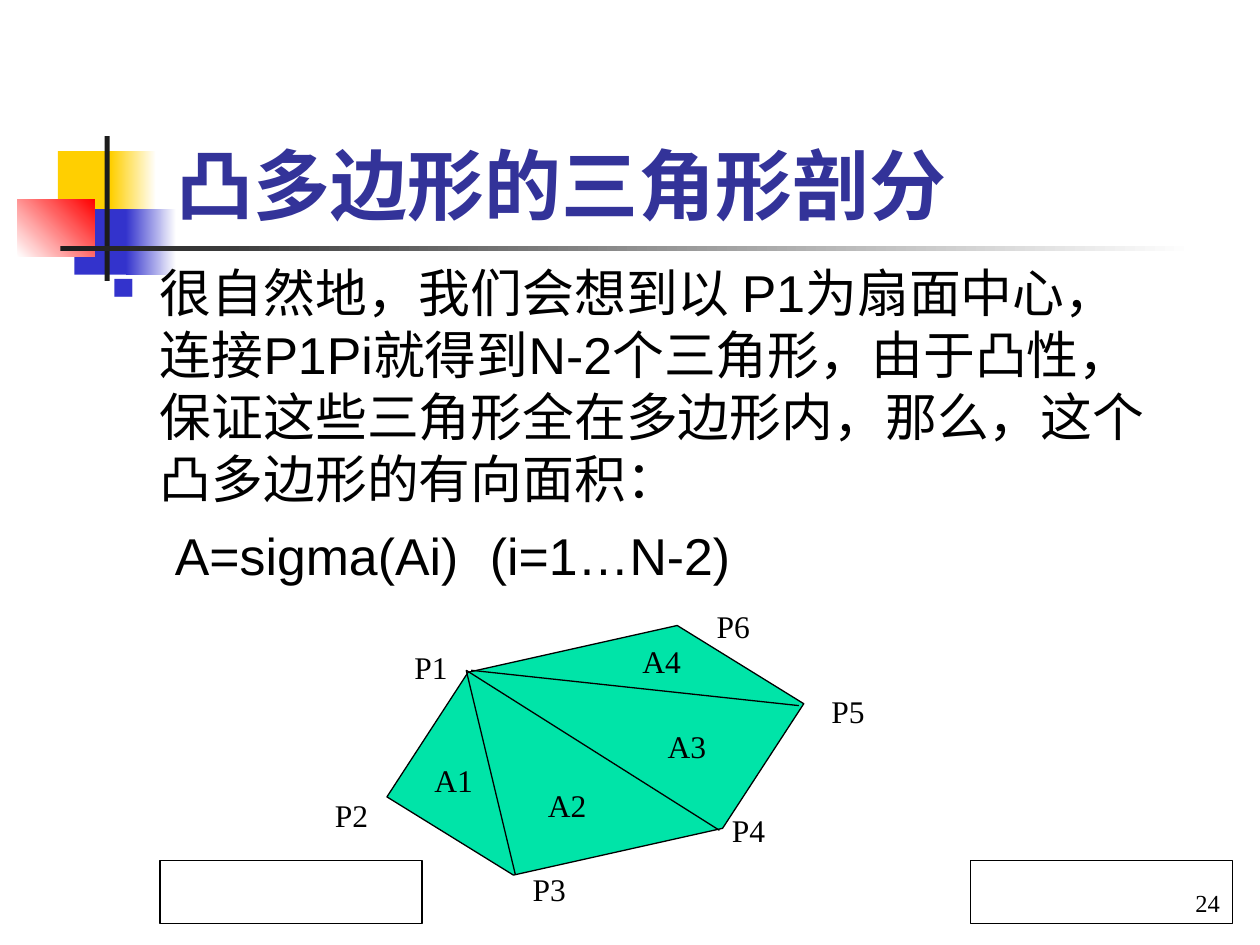
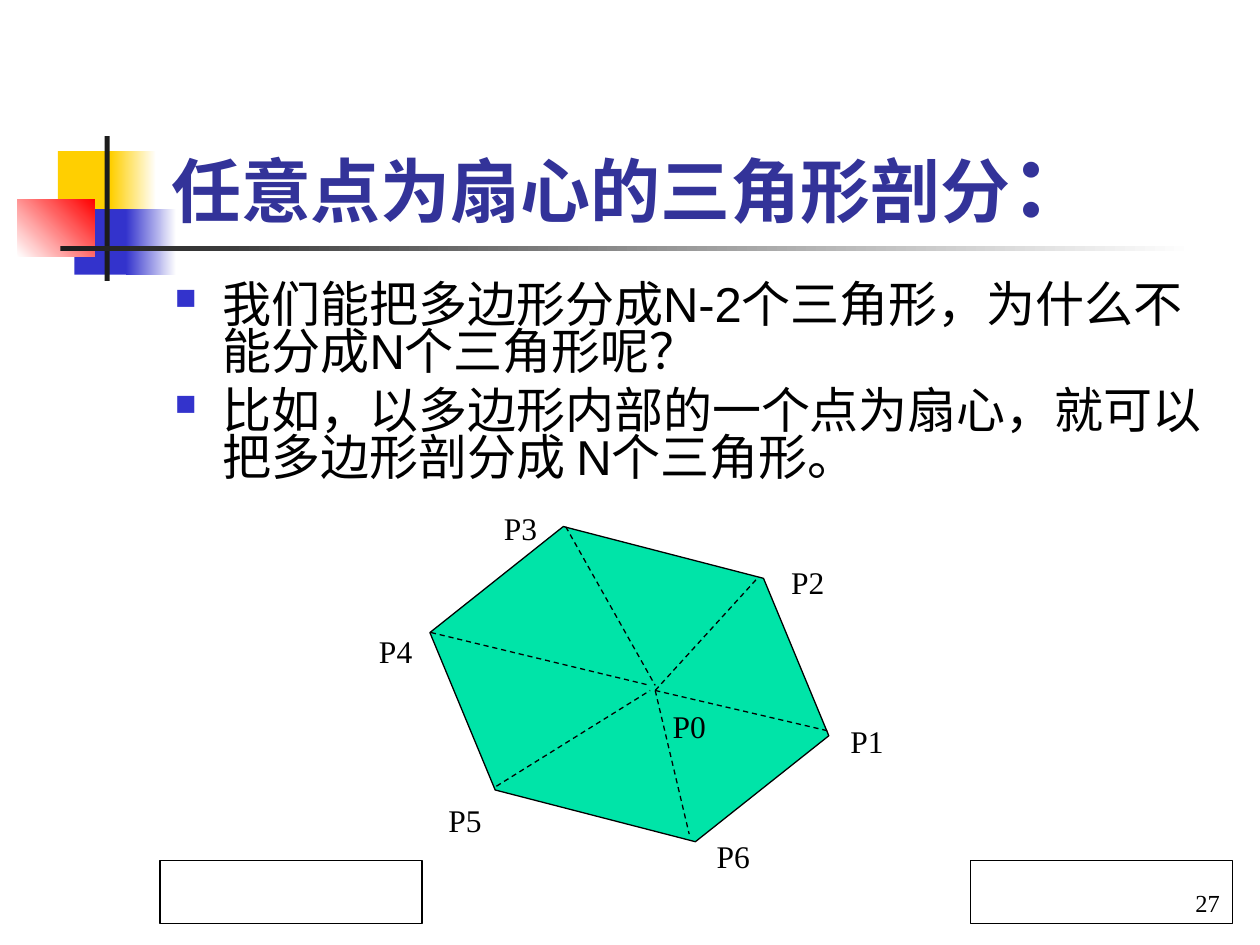
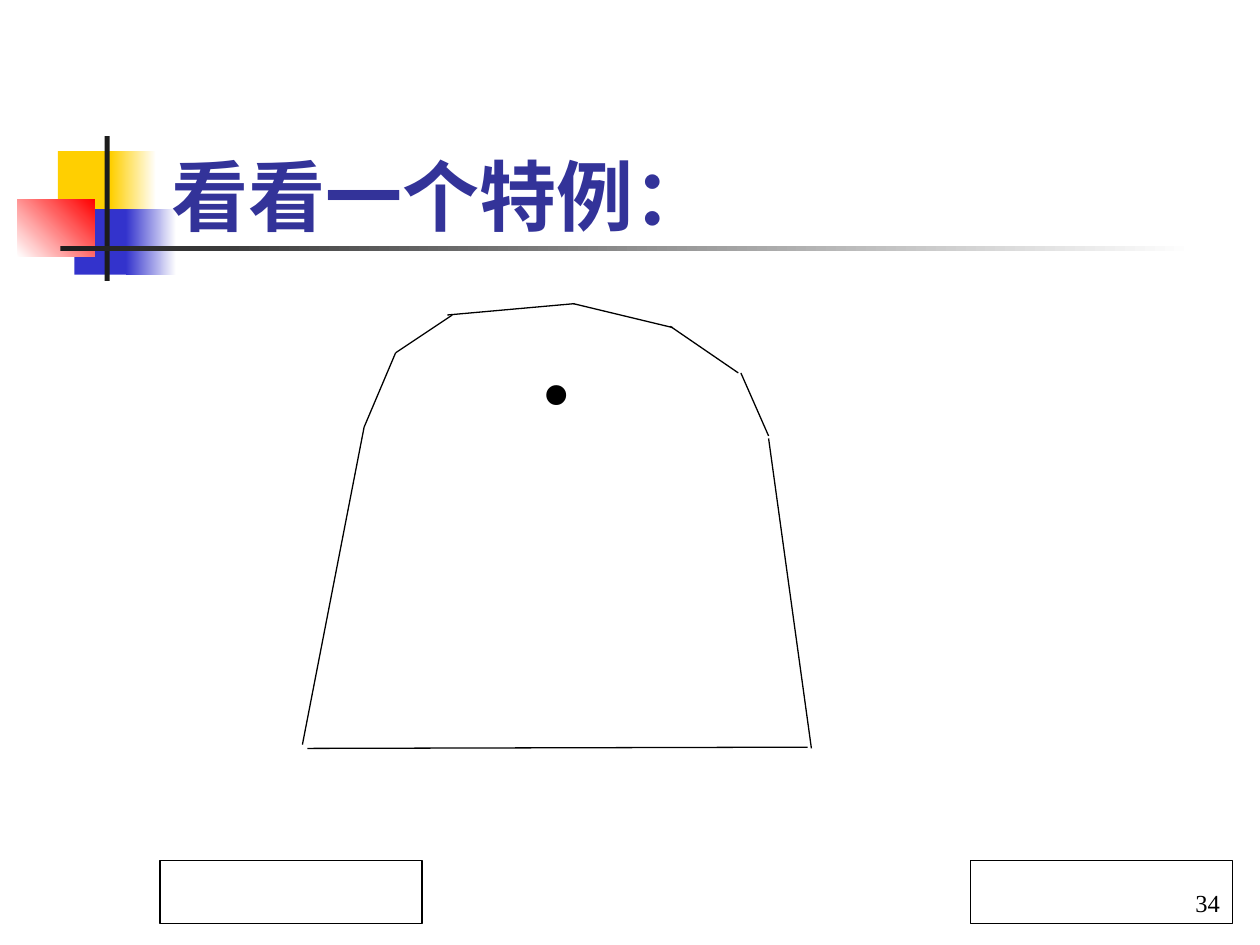
"""Build three slides on splitting polygons into triangles."""
from lxml import etree
from pptx import Presentation
from pptx.dml.color import RGBColor
from pptx.enum.dml import MSO_LINE
from pptx.enum.shapes import MSO_CONNECTOR, MSO_SHAPE
from pptx.enum.text import MSO_ANCHOR, PP_ALIGN
from pptx.oxml.ns import qn
from pptx.util import Inches, Pt

COLORS = {
    "yellow": "FFCF01", "blue": "3333CC", "red": "FF0000", "dark": "1C1C1C",
    "title": "333399", "text": "000000", "white": "FFFFFF", "polygon": "00E4A8",
}
SANS, SERIF = "Arial", "Times New Roman"

BAND_PARTS = [
    ((0.46, 1.2, 0.48, 0.52), ["yellow"], 0),
    ((0.88, 1.2, 0.36, 0.52), ["yellow", "white"], 0),
    ((0.59, 1.66, 0.46, 0.52), ["blue"], 0),
    ((1, 1.66, 0.4, 0.52), ["blue", "white"], 0),
    ((0.14, 1.58, 0.61, 0.46), ["white", "red"], 45),
    ((0.83, 1.08, 0.04, 1.15), ["dark"], 0),
    ((0.48, 1.95, 9, 0.04), ["dark", "white"], 0),
]
FOOTER_LEFTS, FOOTER_TOP, FOOTER_SIZE = (1.27, 7.7), 6.83, (2.08, 0.5)
LABEL_SIZE = (0.63, 0.4)
BULLET = {"left": 0.38, "first": -0.38, "bullet": "n"}
FORMULA = {"left": 0, "first": 0, "tabs": (0.66, 3.14)}

SLIDES = [
    {
        "number": "24",
        "title": ((1.3, 0.6, 7.01, 1.27), [("凸多边形的三角形剖分", 44)]),
        "body": {
            "box": (0.79, 2.02, 8.5, 2.73), "size": 29.6, "gap": 8, "spacing": 1.0,
            "paragraphs": [
                ("很自然地，我们会想到以 P1为扇面中心，连接P1Pi就得到N-2个三角形，"
                 "由于凸性，保证这些三角形全在多边形内，那么，这个凸多边形的有向面积：", BULLET),
                ("\tA=sigma(Ai)\t(i=1…N-2)", FORMULA),
            ],
        },
        "hexagon": ((3.03, 5.13, 3.39, 1.65), 347.4, 0.512),
        "lines": [
            ((3.7, 5.32), (4.09, 6.94)), ((3.7, 5.32), (5.71, 6.59)),
            ((3.74, 5.32), (6.34, 5.6)),
        ],
        "labels": {
            "P1": (3.19, 5.09), "P2": (2.56, 6.27), "P3": (4.13, 6.86),
            "P4": (5.71, 6.39), "P5": (6.5, 5.44), "P6": (5.59, 4.77),
            "A1": (3.35, 5.99), "A2": (4.25, 6.19), "A3": (5.2, 5.72), "A4": (5, 5.05),
        },
    },
    {
        "number": "27",
        "title": ((1.26, 0.91, 8.52, 1), [("任意点为扇心的三角形剖分", 40), ("：", 48)]),
        "body": {
            "box": (1.29, 2.21, 8.5, 1.86), "size": 28, "gap": 7, "spacing": 0.8,
            "paragraphs": [
                ("我们能把多边形分成N-2个三角形，为什么不能分成N个三角形呢？", BULLET),
                ("比如，以多边形内部的一个点为扇心，就可以把多边形剖分成 N个三角形。", BULLET),
            ],
        },
        "hexagon": ((3.36, 4.35, 3.27, 2.16), 14.5, 0.377),
        "dash": MSO_LINE.DASH,
        "lines": [
            ((4.49, 4.18), (5.2, 5.44)), ((5.2, 5.48), (6.02, 4.58)),
            ((5.2, 5.48), (6.57, 5.8)), ((5.2, 5.48), (5.47, 6.62)),
            ((3.94, 6.24), (5.16, 5.48)), ((3.42, 5.02), (5.16, 5.44)),
        ],
        "labels": {
            "P0": (5.24, 5.56), "P1": (6.65, 5.68), "P2": (6.18, 4.42), "P6": (5.59, 6.59),
            "P5": (3.46, 6.31), "P4": (2.91, 4.97), "P3": (3.9, 3.99),
        },
    },
    {
        "number": "34",
        "title": ((1.26, 0.36, 8.52, 1.6), [("看看一个特例：", 44)]),
        "lines": [
            ((5.34, 2.6), (4.55, 2.41)), ((2.89, 3.39), (2.4, 5.91)),
            ((2.44, 5.94), (6.41, 5.93)), ((6.44, 5.94), (6.1, 3.48)),
            ((2.89, 3.39), (3.14, 2.8)), ((3.14, 2.8), (3.59, 2.5)),
            ((3.55, 2.5), (4.56, 2.41)), ((6.1, 3.46), (5.88, 2.96)),
            ((5.86, 2.96), (5.32, 2.59)),
        ],
        "point": ((4.17, 1.82, 0.94, 1.7), 1.7),
    },
]


def inches(values):
    return [Inches(value) for value in values]


def color(name):
    return RGBColor.from_string(COLORS[name])


def set_all(target, values):
    for name, value in values.items():
        setattr(target, name, value)


def add_run(paragraph, text, size, font=SANS, ink="text", bold=False):
    run = paragraph.add_run()
    run.text = text
    set_all(run.font, {"name": font, "size": Pt(size), "bold": bold})
    run.font.color.rgb = color(ink)


def add_text_box(slide, box, anchor=MSO_ANCHOR.TOP):
    shape = slide.shapes.add_textbox(*inches(box))
    set_all(shape.text_frame, {"word_wrap": True, "vertical_anchor": anchor})
    return shape


def add_filled_shape(slide, kind, box, fills, angle=0, outlined=False):
    shape = slide.shapes.add_shape(kind, *inches(box))
    shape.shadow.inherit = False
    if len(fills) == 1:
        shape.fill.solid()
        shape.fill.fore_color.rgb = color(fills[0])
    else:
        shape.fill.gradient()
        shape.fill.gradient_angle = angle
        for position, (stop, name) in enumerate(zip(shape.fill.gradient_stops, fills)):
            stop.color.rgb = color(name)
            stop.position = position
    if outlined:
        shape.line.color.rgb = color("text")
        shape.line.width = Pt(0.75)
    else:
        shape.line.fill.background()
    return shape


def add_line(slide, start, end, dash):
    line = slide.shapes.add_connector(MSO_CONNECTOR.STRAIGHT, *inches(start + end))
    line.line.color.rgb = color("text")
    set_all(line.line, {"width": Pt(0.75), "dash_style": dash})
    etree.SubElement(line._element.spPr, qn("a:effectLst"))


def set_layout(paragraph, layout):
    properties = paragraph._p.get_or_add_pPr()
    properties.set("marL", str(Inches(layout["left"])))
    properties.set("indent", str(Inches(layout["first"])))
    properties.set("hangingPunct", "0")
    if "bullet" in layout:
        bullet_color = etree.SubElement(properties, qn("a:buClr"))
        etree.SubElement(bullet_color, qn("a:srgbClr"), val=COLORS["blue"])
        etree.SubElement(properties, qn("a:buSzPct"), val="60000")
        etree.SubElement(properties, qn("a:buFont"), typeface="Wingdings", charset="2")
        etree.SubElement(properties, qn("a:buChar"), char=layout["bullet"])
    if "tabs" in layout:
        tabs = etree.SubElement(properties, qn("a:tabLst"))
        for position in layout["tabs"]:
            etree.SubElement(tabs, qn("a:tab"), pos=str(Inches(position)), algn="l")


def add_body(slide, body):
    frame = add_text_box(slide, body["box"]).text_frame
    for index, (text, layout) in enumerate(body["paragraphs"]):
        paragraph = frame.add_paragraph() if index else frame.paragraphs[0]
        set_layout(paragraph, layout)
        gap = Pt(body["gap"] if index else 0)
        set_all(paragraph, {"space_before": gap, "line_spacing": body["spacing"]})
        add_run(paragraph, text, body["size"])


def add_band_and_title(slide, box, runs):
    for part, fills, angle in BAND_PARTS:
        add_filled_shape(slide, MSO_SHAPE.RECTANGLE, part, fills, angle)
    title = add_text_box(slide, box, MSO_ANCHOR.BOTTOM)
    for text, size in runs:
        add_run(title.text_frame.paragraphs[0], text, size, ink="title", bold=True)


def add_footer(slide, number):
    for left in FOOTER_LEFTS:
        footer = add_filled_shape(slide, MSO_SHAPE.RECTANGLE,
                                  (left, FOOTER_TOP, *FOOTER_SIZE), ["white"], outlined=True)
    footer.text_frame.vertical_anchor = MSO_ANCHOR.BOTTOM
    paragraph = footer.text_frame.paragraphs[0]
    paragraph.alignment = PP_ALIGN.RIGHT
    add_run(paragraph, number, 14, SERIF)


def add_figure(slide, content):
    if "hexagon" in content:
        box, rotation, slant = content["hexagon"]
        hexagon = add_filled_shape(slide, MSO_SHAPE.HEXAGON, box, ["polygon"], outlined=True)
        hexagon.rotation = rotation
        hexagon.adjustments[0] = slant
    for start, end in content["lines"]:
        add_line(slide, start, end, content.get("dash"))
    for text, corner in content.get("labels", {}).items():
        label = add_text_box(slide, corner + LABEL_SIZE)
        add_run(label.text_frame.paragraphs[0], text, 18, SERIF)
    if "point" in content:
        box, rotation = content["point"]
        point = add_text_box(slide, box)
        point.rotation = rotation
        add_run(point.text_frame.paragraphs[0], ".", 96, SERIF)


def main():
    presentation = Presentation()
    set_all(presentation, {"slide_width": Inches(10), "slide_height": Inches(7.5)})
    for content in SLIDES:
        slide = presentation.slides.add_slide(presentation.slide_layouts[6])
        add_band_and_title(slide, *content["title"])
        if "body" in content:
            add_body(slide, content["body"])
        add_figure(slide, content)
        add_footer(slide, content["number"])
    presentation.save("out.pptx")


if __name__ == "__main__":
    main()
